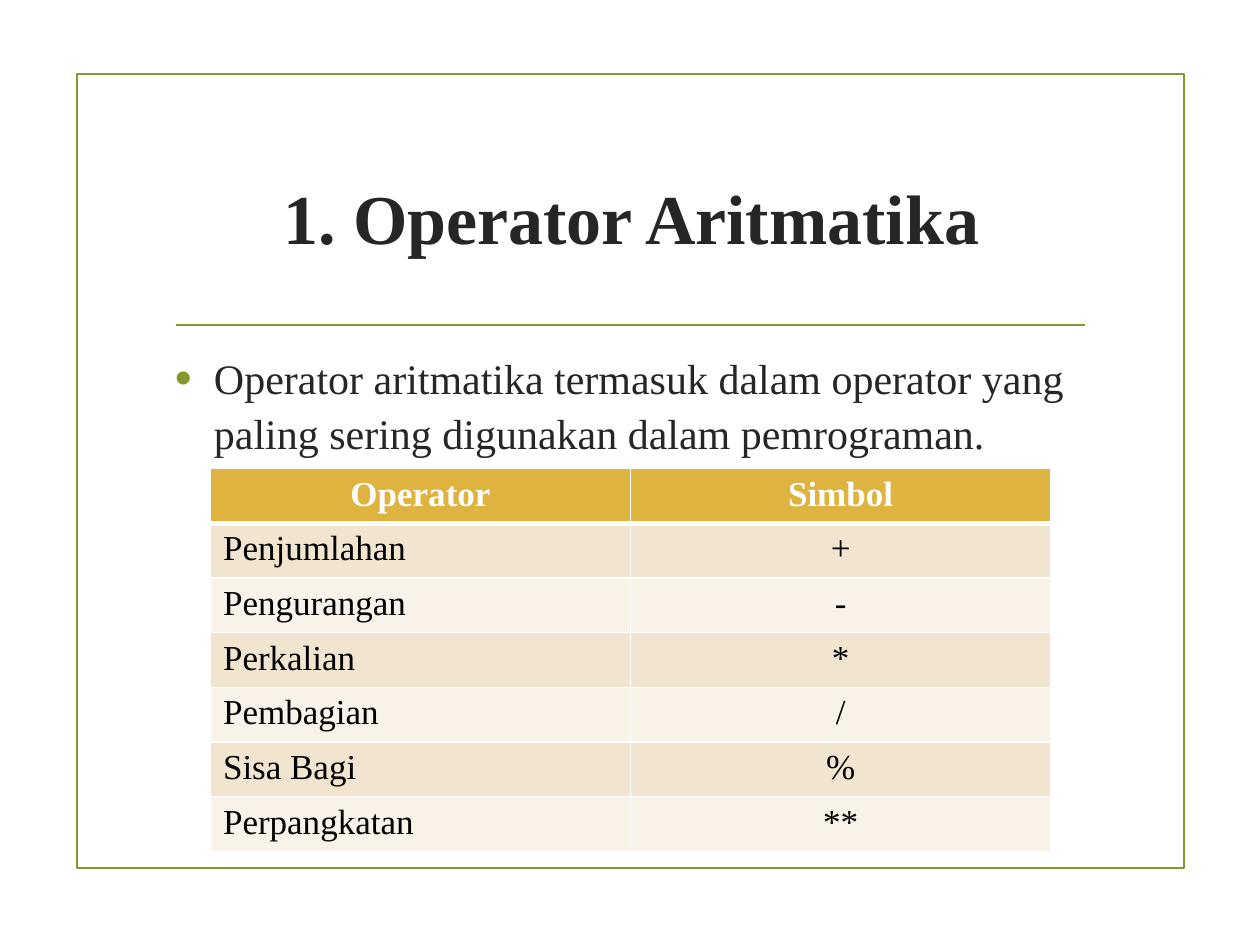
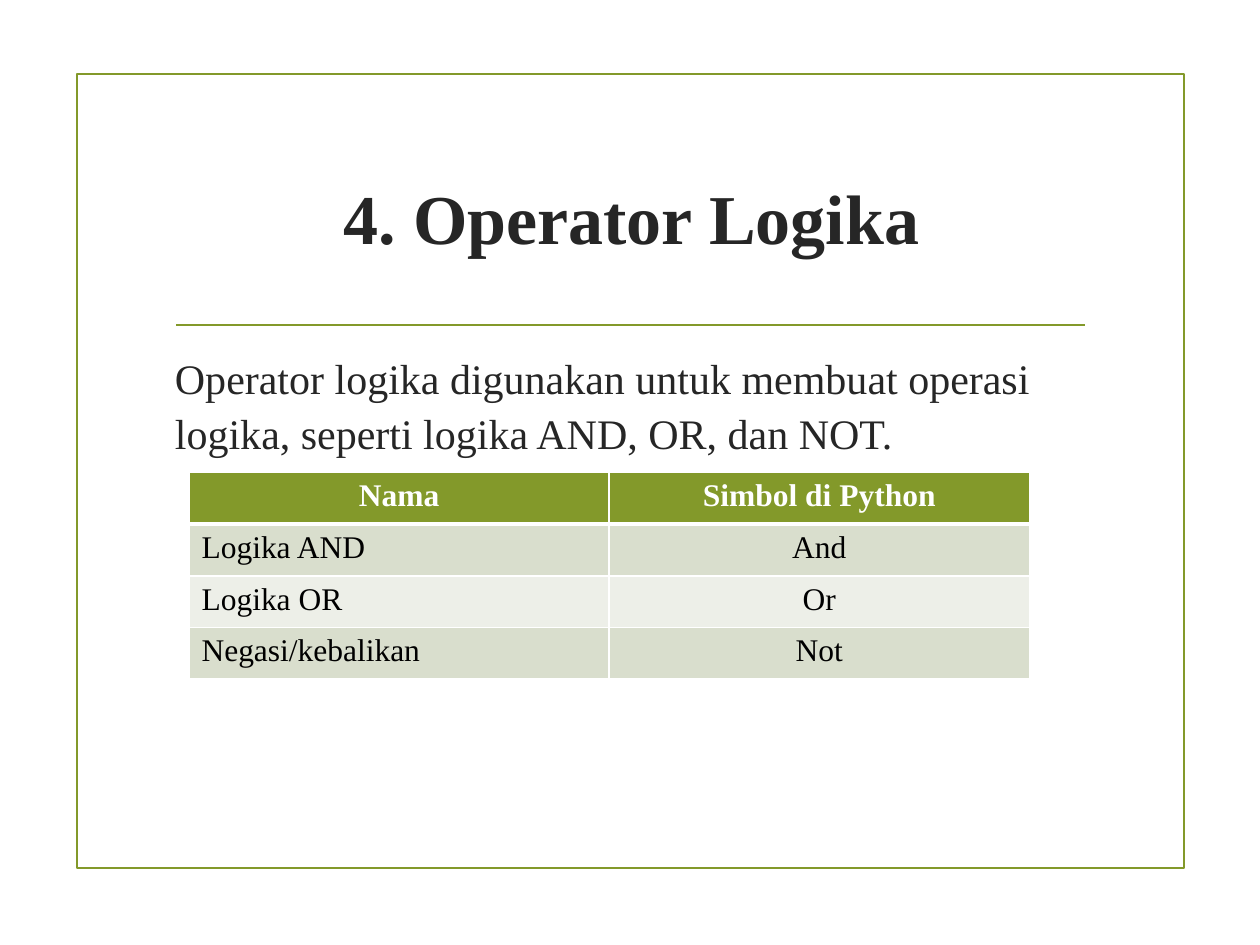
from dataclasses import dataclass

from lxml.etree import SubElement
from pptx import Presentation
from pptx.dml.color import RGBColor
from pptx.enum.shapes import MSO_CONNECTOR, MSO_SHAPE
from pptx.enum.text import MSO_ANCHOR, PP_ALIGN
from pptx.oxml.ns import qn
from pptx.util import Inches, Pt


@dataclass(frozen=True)
class Theme:
    font: str = "Times New Roman"
    ink: str = "262626"
    black: str = "000000"
    white: str = "FFFFFF"
    green: str = "83992A"
    # Each table palette: head, odd rows, even rows
    gold_rows: tuple = ("DEB340", "F2E5CF", "F9F2E8")
    green_rows: tuple = ("83992A", "D9DECD", "EDEFE8")
    title: int = 40
    body: int = 24
    rule: float = 1.25


THEME = Theme()


def color(code):
    return RGBColor.from_string(code)


def write(frame, text, size=THEME.body, ink=THEME.ink, bold=False,
          align=PP_ALIGN.LEFT):
    """Put text in a frame as one paragraph and return the paragraph."""
    para = frame.paragraphs[0]
    para.alignment = align
    run = para.add_run()
    run.text = text
    font = run.font
    font.name, font.size, font.bold = THEME.font, Pt(size), bold
    font.color.rgb = color(ink)
    return para


def bullet(para, indent=0.31):
    props = para._p.get_or_add_pPr()
    props.set("marL", str(Inches(indent)))
    props.set("indent", str(-Inches(indent)))
    tint = SubElement(props, qn("a:buClr"))
    SubElement(tint, qn("a:srgbClr"), val=THEME.green)
    SubElement(props, qn("a:buSzPct"), val="115000")
    SubElement(props, qn("a:buFont"), typeface="Arial")
    SubElement(props, qn("a:buChar"), char="•")


def border(cell, head):
    """Draw white cell edges, with a thick one below the head row."""
    props = cell._tc.get_or_add_tcPr()
    edges = {"lnL": 1, "lnR": 1, "lnT": 1, "lnB": 3 if head else 1}
    for spot, (tag, width) in enumerate(edges.items()):
        edge = SubElement(props, qn(f"a:{tag}"), w=str(Pt(width)))
        fill = SubElement(edge, qn("a:solidFill"))
        SubElement(fill, qn("a:srgbClr"), val=THEME.white)
        props.insert(spot, edge)  # edges come before the cell fill


class Deck:
    def __init__(self, theme):
        self.theme = theme
        self.file = Presentation()
        self.file.slide_width = Inches(10)
        self.file.slide_height = Inches(7.5)
        self.slide = None

    def start(self, title):
        """Begin a slide with its frame, rule and title."""
        self.slide = self.file.slides.add_slide(self.file.slide_layouts[5])
        self.frame()
        self.rule()
        self.title(title)

    def frame(self):
        box = self.slide.shapes.add_shape(
            MSO_SHAPE.RECTANGLE,
            Inches(0.61), Inches(0.59), Inches(8.79), Inches(6.3))
        box.shadow.inherit = False
        box.fill.background()
        self.stroke(box.line)

    def rule(self):
        line = self.slide.shapes.add_connector(
            MSO_CONNECTOR.STRAIGHT,
            Inches(1.4), Inches(2.58), Inches(8.61), Inches(2.58))
        self.stroke(line.line)
        SubElement(line._element.spPr, qn("a:effectLst"))

    def stroke(self, line):
        line.color.rgb = color(self.theme.green)
        line.width = Pt(self.theme.rule)

    def title(self, text):
        shape = self.slide.shapes.title
        shape.left, shape.top = Inches(1.29), Inches(1)
        shape.width, shape.height = Inches(7.44), Inches(1.43)
        shape.text_frame.vertical_anchor = MSO_ANCHOR.MIDDLE
        write(shape.text_frame, text, size=self.theme.title, bold=True,
              align=PP_ALIGN.CENTER)

    def body(self, text, dot=False):
        box = self.slide.shapes.add_textbox(
            Inches(1.29), Inches(2.72), Inches(7.44), Inches(3.77))
        box.text_frame.word_wrap = True
        para = write(box.text_frame, text)
        para.line_spacing = 1.08
        para.space_after = Pt(6)
        if dot:
            bullet(para)

    def table(self, rows, left, top, size, fills):
        high = 0.41
        grid = self.slide.shapes.add_table(
            len(rows), 2, Inches(left), Inches(top),
            Inches(6.67), Inches(high * len(rows))).table
        for r, row in enumerate(rows):
            grid.rows[r].height = Inches(high)
            head = r == 0
            fill = fills[0] if head else fills[2 - r % 2]
            for c, text in enumerate(row):
                cell = grid.cell(r, c)
                cell.fill.solid()
                cell.fill.fore_color.rgb = color(fill)
                border(cell, head)
                write(cell.text_frame, text, size=size, bold=head,
                      ink=self.theme.white if head else self.theme.black,
                      align=PP_ALIGN.CENTER if head or c else PP_ALIGN.LEFT)


def main():
    deck = Deck(THEME)

    deck.start("1. Operator Aritmatika")
    deck.body("Operator aritmatika termasuk dalam operator yang paling "
              "sering digunakan dalam pemrograman.", dot=True)
    deck.table([
        ("Operator", "Simbol"),
        ("Penjumlahan", "+"),
        ("Pengurangan", "-"),
        ("Perkalian", "*"),
        ("Pembagian", "/"),
        ("Sisa Bagi", "%"),
        ("Perpangkatan", "**"),
    ], left=1.67, top=3.72, size=20, fills=THEME.gold_rows)

    deck.start("4. Operator Logika")
    deck.body("Operator logika digunakan untuk membuat operasi logika, "
              "seperti logika AND, OR, dan NOT.")
    deck.table([
        ("Nama", "Simbol di Python"),
        ("Logika AND", "And"),
        ("Logika OR", "Or"),
        ("Negasi/kebalikan", "Not"),
    ], left=1.5, top=3.75, size=18, fills=THEME.green_rows)

    deck.file.save("out.pptx")


if __name__ == "__main__":
    main()
